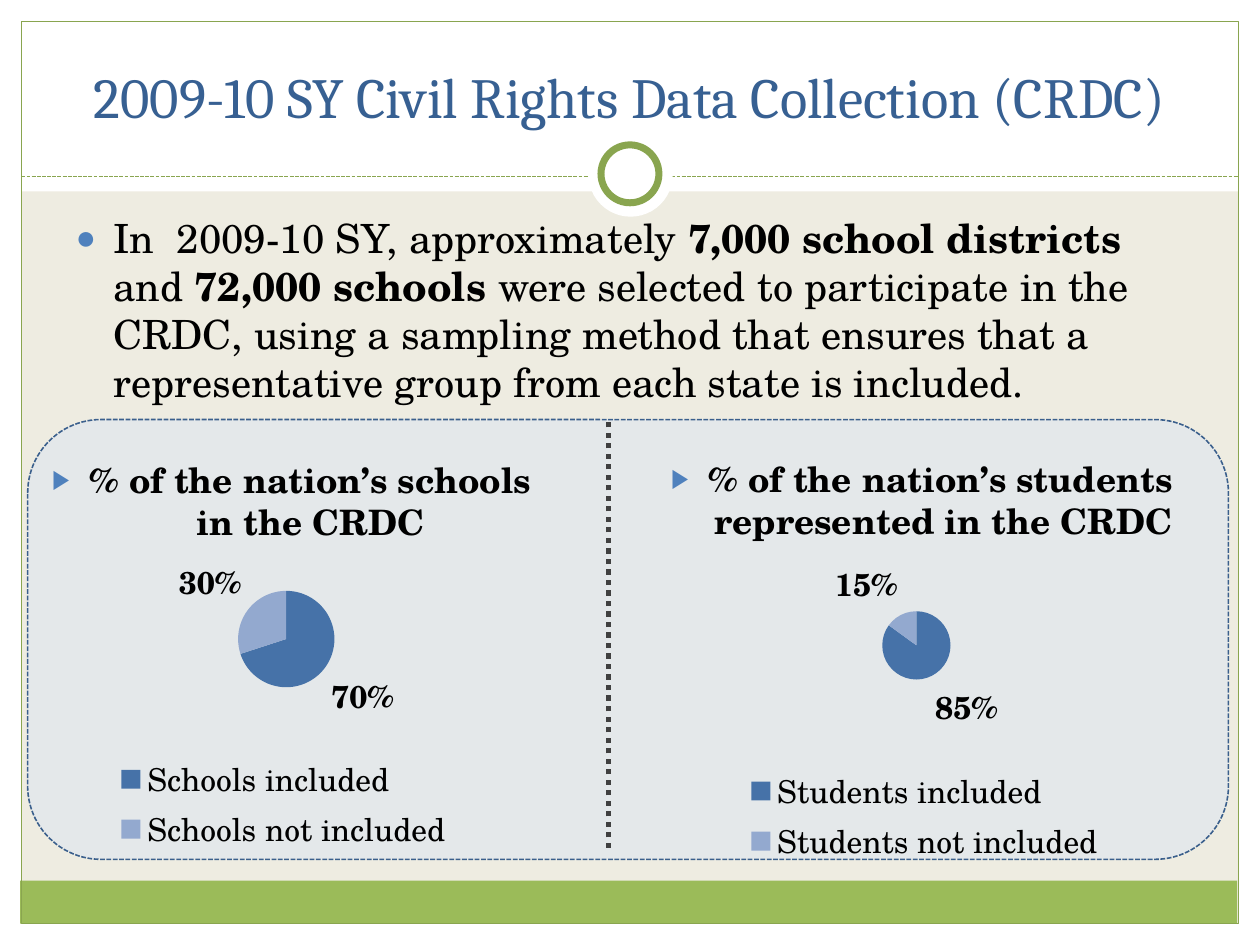
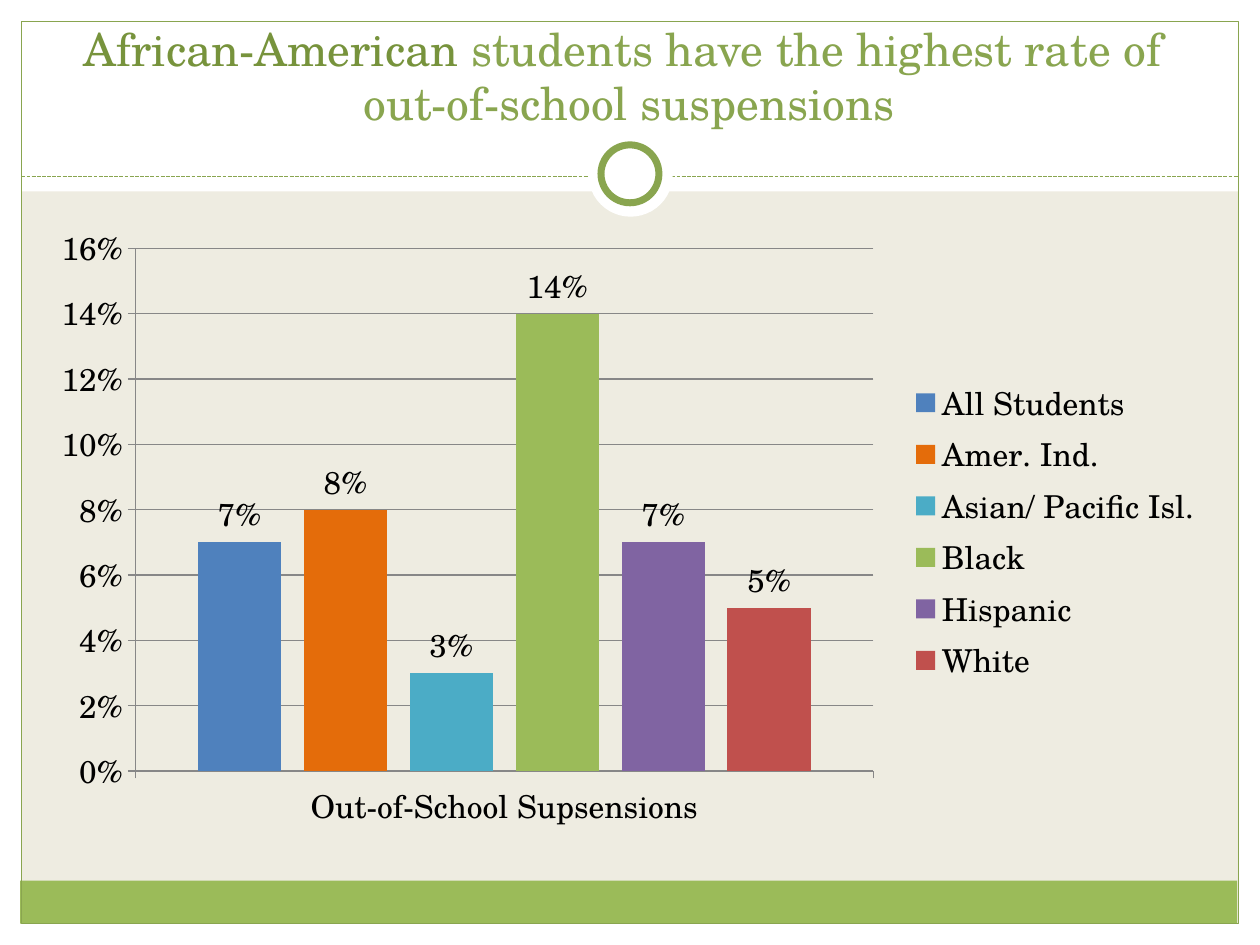
from dataclasses import dataclass

from lxml import etree
from pptx import Presentation
from pptx.chart import data as chart_data
from pptx.dml.color import RGBColor
from pptx.enum import chart as charts, dml, shapes, text
from pptx.oxml import ns
from pptx.util import Inches, Pt


@dataclass(frozen=True)
class Theme:
    serif: str = "TeX Gyre Schola"
    heading: str = "Cambria"
    page: str = "EEECE1"
    white: str = "FFFFFF"
    black: str = "000000"
    band: str = "9BBB59"
    rule: str = "89A54F"
    blue_title: str = "376092"
    dark_green: str = "77933C"
    bullet: str = "4F81BD"
    panel: str = "DCE6F2"
    panel_edge: str = "3A5F8C"
    divider: str = "404040"
    grid: str = "878787"
    slices: tuple = ("4672A8", "93A9CF")
    title_size: float = 32.4
    finding_size: float = 26
    body_size: float = 23
    caption_size: float = 20
    chart_size: float = 18


THEME = Theme()


def rgb(code):
    return RGBColor.from_string(code)


def box(left, top, width, height):
    return Inches(left), Inches(top), Inches(width), Inches(height)


def style_line(line, color, width, dash=None):
    line.color.rgb = rgb(color)
    line.width = Pt(width)
    if dash:
        line.dash_style = dash


def add_block(slide, kind, place, fill=None, edge=None, alpha=None):
    block = slide.shapes.add_shape(kind, *box(*place))
    block.shadow.inherit = False
    if fill:
        block.fill.solid()
        block.fill.fore_color.rgb = rgb(fill)
        if alpha:
            tint = block.element.spPr.find(".//" + ns.qn("a:srgbClr"))
            etree.SubElement(tint, ns.qn("a:alpha")).set("val", str(alpha * 1000))
    else:
        block.fill.background()
    if edge:
        style_line(block.line, *edge)
    else:
        block.line.fill.background()
    return block


def add_rule(slide, start, end, color, width, dash):
    rule = slide.shapes.add_connector(
        shapes.MSO_CONNECTOR.STRAIGHT, *map(Inches, start + end))
    style_line(rule.line, color, width, dash)
    etree.SubElement(rule.element.spPr, ns.qn("a:effectLst"))
    return rule


def set_font(font, name, size, color=THEME.black, bold=None):
    font.name = name
    font.size = Pt(size)
    font.color.rgb = rgb(color)
    if bold is not None:
        font.bold = bold


def set_bullet(paragraph, symbol, percent):
    props = paragraph._p.get_or_add_pPr()
    props.set("marL", str(Inches(0.3)))
    props.set("indent", str(-Inches(0.3)))
    color = etree.SubElement(props, ns.qn("a:buClr"))
    etree.SubElement(color, ns.qn("a:srgbClr")).set("val", THEME.bullet)
    etree.SubElement(props, ns.qn("a:buSzPct")).set("val", str(percent * 1000))
    etree.SubElement(props, ns.qn("a:buFont")).set("typeface", "Arial")
    etree.SubElement(props, ns.qn("a:buChar")).set("char", symbol)


def add_title(slide, parts, font, size):
    title = slide.shapes.title
    title.left, title.top, title.width, title.height = box(0.33, 0.25, 9.33, 0.83)
    frame = title.text_frame
    frame.auto_size = text.MSO_AUTO_SIZE.NONE
    frame.vertical_anchor = text.MSO_ANCHOR.BOTTOM
    heading = frame.paragraphs[0]
    heading.alignment = text.PP_ALIGN.CENTER
    heading.font.name = font
    heading.font.size = Pt(size)
    for words, color in parts:
        for index, row in enumerate(words.split("\n")):
            if index:
                heading.add_line_break()
            run = heading.add_run()
            run.text = row
            set_font(run.font, font, size, color)


def add_body(slide, place, parts):
    body = slide.placeholders[1]
    body.left, body.top, body.width, body.height = box(*place)
    body.text_frame.auto_size = text.MSO_AUTO_SIZE.NONE
    statement = body.text_frame.paragraphs[0]
    set_bullet(statement, "●", 85)
    set_font(statement.font, THEME.serif, THEME.body_size)
    for words, bold in parts:
        run = statement.add_run()
        run.text = words
        run.font.bold = bold


def add_caption(slide, place, words, alignment):
    frame = slide.shapes.add_textbox(*box(*place)).text_frame
    frame.word_wrap = True
    caption = frame.paragraphs[0]
    caption.text = words
    caption.alignment = alignment
    caption.space_before = Pt(6)
    set_bullet(caption, "▶", 76)
    set_font(caption.font, THEME.serif, THEME.caption_size, bold=True)


def manual_layout(area, inner=False):
    layout = etree.Element(ns.qn("c:layout"))
    manual = etree.SubElement(layout, ns.qn("c:manualLayout"))
    settings = [("layoutTarget", "inner")] if inner else []
    settings += [("xMode", "edge"), ("yMode", "edge"), *zip("xywh", area)]
    for tag, value in settings:
        etree.SubElement(manual, ns.qn("c:" + tag)).set("val", str(value))
    return layout


def add_chart(slide, kind, place, categories, series, legend, plot_area, legend_area):
    data = chart_data.CategoryChartData(number_format="0%")
    data.categories = categories
    for name, values in series:
        data.add_series(name, values)
    chart = slide.shapes.add_chart(kind, *box(*place), data).chart
    chart.has_title = False
    set_font(chart.font, THEME.serif, THEME.chart_size)
    chart.has_legend = True
    chart.legend.position = legend
    chart.legend.include_in_layout = False
    plot = chart.plots[0]
    plot.has_data_labels = True
    labels = plot.data_labels
    labels.show_value = True
    labels.show_percentage = False
    labels.number_format = "0%"
    labels.number_format_is_linked = False
    labels.position = charts.XL_LABEL_POSITION.OUTSIDE_END
    plot_node = chart.element.find(".//" + ns.qn("c:plotArea"))
    legend_node = chart.element.find(".//" + ns.qn("c:legend"))
    for node in (plot_node, legend_node):
        for old in node.findall(ns.qn("c:layout")):
            node.remove(old)
    plot_node.insert(0, manual_layout(plot_area, inner=True))
    legend_node.find(ns.qn("c:legendPos")).addnext(manual_layout(legend_area))
    return chart


def add_share_pie(slide, place, group, included, plot_area, legend_area):
    chart = add_chart(
        slide, charts.XL_CHART_TYPE.PIE, place,
        [f"{group} included", f"{group} not included"],
        [("Series 1", (included, round(1 - included, 2)))],
        charts.XL_LEGEND_POSITION.BOTTOM, plot_area, legend_area)
    plot = chart.plots[0]
    set_font(plot.data_labels.font, THEME.serif, THEME.chart_size, bold=True)
    for index, color in enumerate(THEME.slices):
        fill = plot.series[0].points[index].format.fill
        fill.solid()
        fill.fore_color.rgb = rgb(color)


def add_suspension_columns(slide, rates):
    chart = add_chart(
        slide, charts.XL_CHART_TYPE.COLUMN_CLUSTERED, (0.33, 1.67, 9.3, 5),
        ["Out-of-School Supsensions"],
        [(group, (rate,)) for group, rate, _ in rates],
        charts.XL_LEGEND_POSITION.RIGHT,
        (0.08, 0.06, 0.63, 0.83), (0.74, 0.26, 0.25, 0.5))
    plot = chart.plots[0]
    plot.gap_width, plot.overlap = 150, -27
    plot.vary_by_categories = False
    for series, (_, _, color) in zip(plot.series, rates):
        series.format.fill.solid()
        series.format.fill.fore_color.rgb = rgb(color)
    scale = chart.value_axis
    scale.minimum_scale, scale.maximum_scale, scale.major_unit = 0, 0.16, 0.02
    scale.tick_labels.number_format = "0%"
    scale.tick_labels.number_format_is_linked = False
    style_line(scale.major_gridlines.format.line, THEME.grid, 0.75)
    for axis in (scale, chart.category_axis):
        axis.major_tick_mark = charts.XL_TICK_MARK.OUTSIDE
        style_line(axis.format.line, THEME.grid, 0.75)


def dress_master(master, slide):
    rect, oval = shapes.MSO_SHAPE.RECTANGLE, shapes.MSO_SHAPE.OVAL
    master.background.fill.solid()
    master.background.fill.fore_color.rgb = rgb(THEME.page)
    margins = [(0, 7.33, 10, 0.17), (0, 0, 10, 1.52),
               (0, 0, 0.17, 7.5), (9.83, 0, 0.17, 7.5)]
    decor = [add_block(slide, rect, place, THEME.white) for place in margins]
    decor += [
        add_block(slide, rect, (0.16, 6.99, 9.66, 0.34), THEME.band),
        add_block(slide, rect, (0.17, 0.17, 9.66, 7.16), edge=(THEME.rule, 0.75)),
        add_rule(slide, (0.17, 1.4), (9.83, 1.4), THEME.rule, 0.75,
                 dml.MSO_LINE.SQUARE_DOT),
        add_block(slide, oval, (4.67, 1.05, 0.67, 0.67), THEME.white),
        add_block(slide, oval, (4.77, 1.15, 0.46, 0.46), THEME.white, (THEME.rule, 4)),
    ]
    tree = master.element.cSld.spTree
    for index, item in enumerate(decor):
        item.element.xpath(".//p:cNvPr")[0].set("id", str(100 + index))
        tree.insert(2 + index, item.element)


def build_collection(slide):
    add_title(slide, [("2009-10 SY Civil Rights Data Collection (CRDC)", THEME.blue_title)],
              THEME.heading, THEME.title_size)
    add_body(slide, (0.5, 1.64, 9, 1.92), [
        ("In  2009-10 SY, approximately ", False),
        ("7,000 school districts ", True),
        ("and ", False),
        ("72,000 schools ", True),
        ("were selected to participate in the CRDC, using a sampling method that "
         "ensures that a representative group from each state is included.", False),
    ])
    add_block(slide, shapes.MSO_SHAPE.ROUNDED_RECTANGLE, (0.22, 3.33, 9.53, 3.49),
              THEME.panel, (THEME.panel_edge, 0.9, dml.MSO_LINE.SQUARE_DOT), alpha=53)
    add_caption(slide, (0.21, 3.59, 4.21, 0.91),
                "% of the nation’s schools in the CRDC", text.PP_ALIGN.CENTER)
    add_caption(slide, (4.4, 3.58, 5.01, 0.92),
                "% of the nation’s students represented in the CRDC", text.PP_ALIGN.RIGHT)
    add_share_pie(slide, (0, 4.25, 4.5, 2.57), "Schools", 0.7,
                  (0.42, 0.17, 0.17, 0.3), (0.2, 0.67, 0.6, 0.32))
    add_share_pie(slide, (5.17, 4.31, 4.25, 2.58), "Students", 0.85,
                  (0.43, 0.21, 0.13, 0.21), (0.17, 0.68, 0.68, 0.32))
    add_rule(slide, (4.83, 6.73), (4.83, 3.33), THEME.divider, 3, dml.MSO_LINE.ROUND_DOT)


def build_suspensions(slide):
    add_title(slide, [
        ("African-American", THEME.dark_green),
        (" students have the highest rate of \nout-of-school suspensions", THEME.rule),
    ], THEME.serif, THEME.finding_size)
    add_suspension_columns(slide, [
        ("All Students", 0.07, "4F81BD"),
        ("Amer. Ind.", 0.08, "E46C0A"),
        ("Asian/ Pacific Isl.", 0.03, "4BACC6"),
        ("Black", 0.14, "9BBB59"),
        ("Hispanic", 0.07, "8064A2"),
        ("White", 0.05, "C0504D"),
    ])


def main():
    deck = Presentation()
    deck.slide_width, deck.slide_height = Inches(10), Inches(7.5)
    collection = deck.slides.add_slide(deck.slide_layouts[1])
    dress_master(deck.slide_master, collection)
    build_collection(collection)
    build_suspensions(deck.slides.add_slide(deck.slide_layouts[5]))
    deck.save("out.pptx")


if __name__ == "__main__":
    main()
